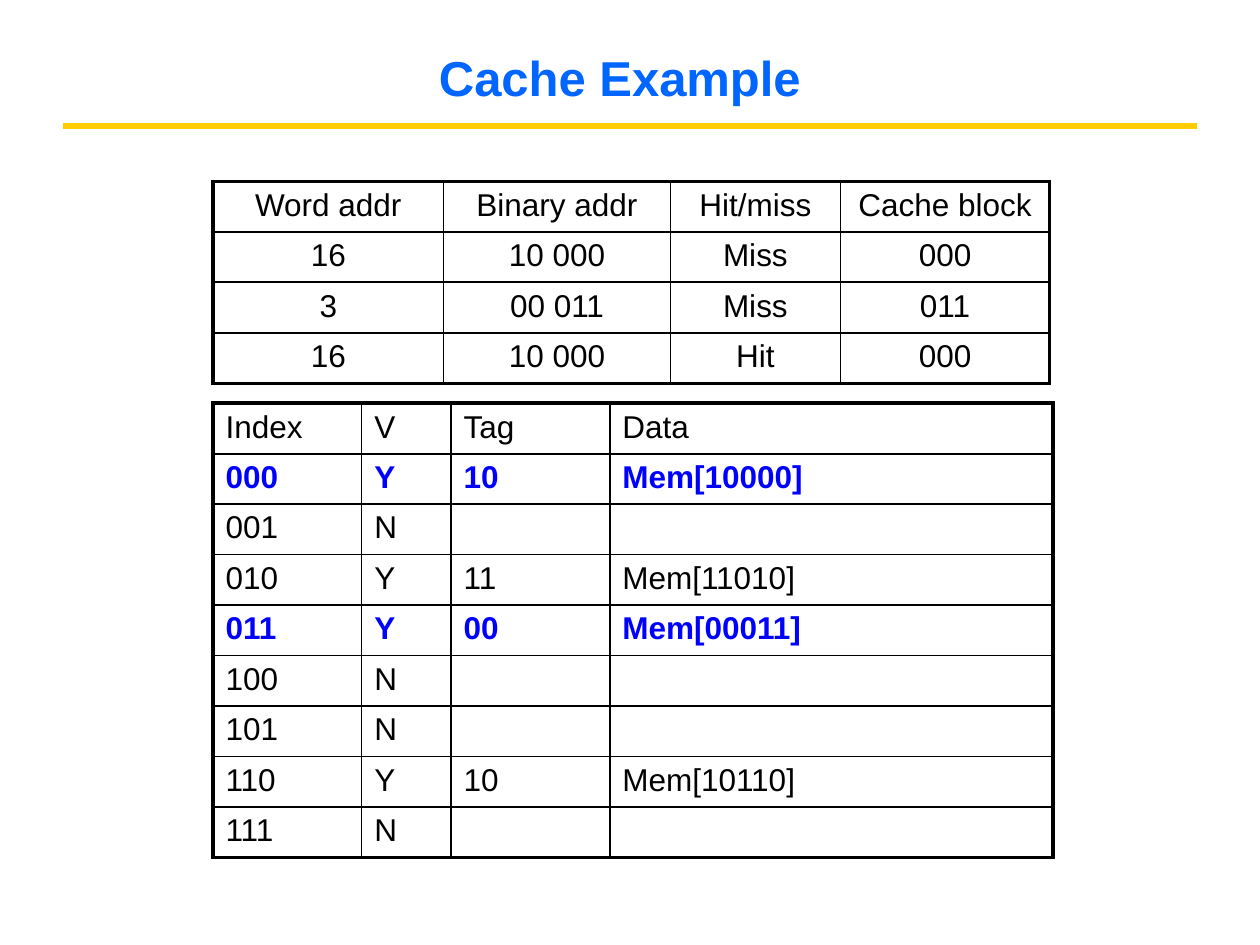
from dataclasses import dataclass

from lxml import etree
from pptx import Presentation
from pptx.dml.color import RGBColor
from pptx.enum.shapes import MSO_CONNECTOR
from pptx.enum.text import MSO_ANCHOR, PP_ALIGN
from pptx.oxml.ns import qn
from pptx.slide import Slide
from pptx.table import _Cell
from pptx.util import Pt

LEFT, CENTER = PP_ALIGN.LEFT, PP_ALIGN.CENTER
TOP, MIDDLE = MSO_ANCHOR.TOP, MSO_ANCHOR.MIDDLE
STRAIGHT = MSO_CONNECTOR.STRAIGHT


@dataclass(frozen=True)
class Theme:
    font: str = "Arial"
    title: str = "0066FF"
    rule: str = "FFCC00"
    ink: str = "000000"
    mark: str = "0000FF"
    title_size: float = 28
    body_size: float = 18
    frame: float = 2.25
    thick: float = 1.5
    thin: float = 1


@dataclass(frozen=True)
class Grid:
    left: float
    top: float
    widths: tuple[float, ...]
    rows: tuple[tuple[str, ...], ...]
    align: PP_ALIGN
    inner: float  # line width between body rows
    marked: tuple[int, ...] = ()


THEME = Theme()
ROW_HEIGHT = 28.8
EDGE = 121.7

ACCESS = Grid(
    EDGE, 103.7, (131.8, 129.6, 97.2, 119.5),
    (
        ("Word addr", "Binary addr", "Hit/miss", "Cache block"),
        ("16", "10 000", "Miss", "000"),
        ("3", "00 011", "Miss", "011"),
        ("16", "10 000", "Hit", "000"),
    ),
    CENTER, THEME.thick,
)
CACHE = Grid(
    EDGE, 230.4, (85, 51.1, 90.7, 253.4),
    (
        ("Index", "V", "Tag", "Data"),
        ("000", "Y", "10", "Mem[10000]"),
        ("001", "N", "", ""),
        ("010", "Y", "11", "Mem[11010]"),
        ("011", "Y", "00", "Mem[00011]"),
        ("100", "N", "", ""),
        ("101", "N", "", ""),
        ("110", "Y", "10", "Mem[10110]"),
        ("111", "N", "", ""),
    ),
    LEFT, THEME.thin, (1, 4),
)


def set_text(part, text: str, size: float, color: str, bold: bool, align: PP_ALIGN) -> None:
    para = part.text_frame.paragraphs[0]
    para.text = text
    para.alignment = align
    font = para.font
    font.name, font.size, font.bold = THEME.font, Pt(size), bold
    font.color.rgb = RGBColor.from_string(color)


def set_edges(cell: _Cell, edges: dict[str, float]) -> None:
    """Add cell borders, which must come before the fill."""
    props = cell._tc.get_or_add_tcPr()
    for spot, (side, width) in enumerate(edges.items()):
        line = etree.Element(qn(f"a:ln{side}"), w=str(Pt(width)))
        fill = etree.SubElement(line, qn("a:solidFill"))
        etree.SubElement(fill, qn("a:srgbClr"), val=THEME.ink)
        props.insert(spot, line)


def draw_title(slide: Slide, text: str) -> None:
    box = slide.shapes.add_textbox(Pt(12.2), Pt(21.6), Pt(684), Pt(44.6))
    box.text_frame.word_wrap = True
    box.text_frame.vertical_anchor = MIDDLE
    set_text(box, text, THEME.title_size, THEME.title, True, CENTER)


def draw_rule(slide: Slide) -> None:
    rule = slide.shapes.add_connector(STRAIGHT, Pt(36), Pt(72), Pt(684), Pt(72))
    rule.line.color.rgb = RGBColor.from_string(THEME.rule)
    rule.line.width = Pt(3)
    etree.SubElement(rule._element.spPr, qn("a:effectLst"))


def draw_grid(slide: Slide, grid: Grid) -> None:
    count, span = len(grid.rows), len(grid.widths)
    table = slide.shapes.add_table(
        count, span, Pt(grid.left), Pt(grid.top),
        Pt(sum(grid.widths)), Pt(ROW_HEIGHT * count),
    ).table
    table.first_row = table.horz_banding = False
    for col, width in zip(table.columns, grid.widths):
        col.width = Pt(width)

    # Line widths from top to bottom and from left to right
    across = [THEME.frame, THEME.thick, *[grid.inner] * (count - 2), THEME.frame]
    down = [THEME.frame, *[THEME.thin] * (span - 1), THEME.frame]

    for r, row in enumerate(grid.rows):
        table.rows[r].height = Pt(ROW_HEIGHT)
        bold = r in grid.marked
        color = THEME.mark if bold else THEME.ink
        for c, text in enumerate(row):
            cell = table.cell(r, c)
            cell.vertical_anchor = TOP
            cell.fill.background()
            set_text(cell, text, THEME.body_size, color, bold, grid.align)
            set_edges(cell, {"L": down[c], "R": down[c + 1],
                             "T": across[r], "B": across[r + 1]})


def main() -> None:
    deck = Presentation()
    deck.slide_width, deck.slide_height = Pt(720), Pt(540)
    slide = deck.slides.add_slide(deck.slide_layouts[6])

    # Heading
    draw_rule(slide)
    draw_title(slide, "Cache Example")

    # Cache state and access log
    for grid in (CACHE, ACCESS):
        draw_grid(slide, grid)

    deck.save("out.pptx")


if __name__ == "__main__":
    main()
